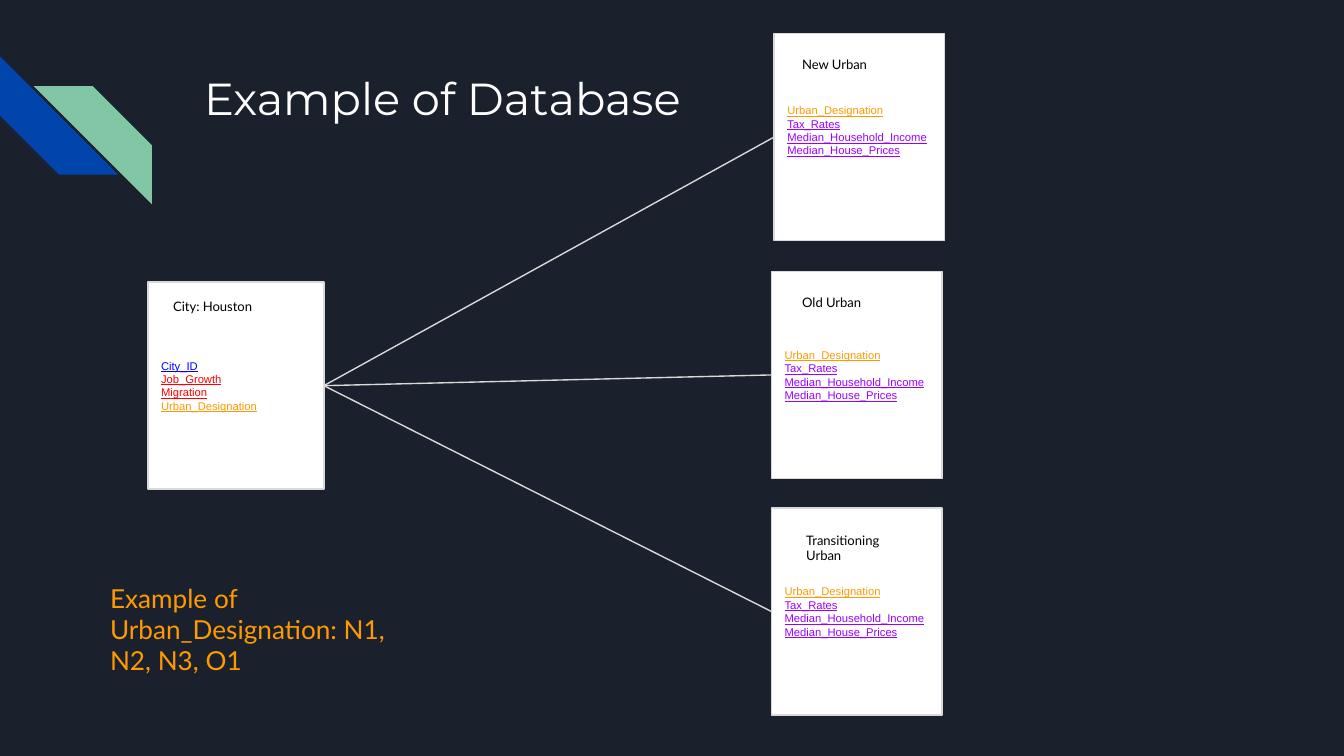
from dataclasses import dataclass

from lxml import etree
from pptx import Presentation
from pptx.dml.color import RGBColor
from pptx.enum import shapes, text
from pptx.oxml.ns import qn
from pptx.util import Inches, Pt

WIDE = 10
WHITE, GREY, BLACK = "FFFFFF", "D9D9D9", "000000"
ORANGE, PURPLE, RED, BLUE = "FF9900", "9900FF", "FF0000", "0000FF"
HIGH = 1.54  # height of every card
AREA = [("Urban_Designation", ORANGE), ("Tax_Rates", PURPLE),
        ("Median_Household_Income", PURPLE), ("Median_House_Prices", PURPLE)]
CITY = [("City_ID", BLUE), ("Job_Growth", RED), ("Migration", RED),
        ("Urban_Designation", ORANGE)]


@dataclass
class Label:
    words: str
    left: float
    top: float
    width: float
    height: float
    size: int = 7
    font: str = "Lato"
    hue: str = BLACK
    grow: bool = True


@dataclass
class Card:
    left: float
    top: float
    width: float
    fields: list
    label: Label
    foot: float = 0.1  # bottom inset


@dataclass
class Stripe:
    left: float
    top: float
    turn: int
    hue: str


STRIPES = [Stripe(0, 0.42, 270, "0145AC"), Stripe(0.25, 0.64, 90, "82C7A5")]
TITLE = Label("Example of Database", 1.42, 0.43, 7.7, 1, 24, "Montserrat", WHITE, False)
NOTE = Label("Example of Urban_Designation: N1, N2, N3, O1",
             0.72, 4.23, 2.52, 0.91, 14, hue=ORANGE)
HUB = Card(1.1, 2.1, 1.31, CITY, Label("City: Houston", 1.19, 2.16, 1.06, 0.32))
ZONES = [
    Card(5.76, 0.25, 1.27, AREA, Label("New Urban", 5.87, 0.36, 0.95, 0.32), 0.2),
    Card(5.74, 2.02, 1.27, AREA, Label("Old Urban", 5.87, 2.13, 0.95, 0.32)),
    Card(5.74, 3.78, 1.27, AREA, Label("Transitioning Urban", 5.9, 3.86, 0.95, 0.44)),
]


def tint(code: str) -> RGBColor:
    return RGBColor.from_string(code)


def paint(shape, hue: str) -> None:
    shape.shadow.inherit = False
    shape.fill.solid()
    shape.fill.fore_color.rgb = tint(hue)


def style(para, size: int, font: str, hue: str, under: bool = False) -> None:
    para.alignment = text.PP_ALIGN.LEFT
    for run in para.runs:
        run.font.size = Pt(size)
        run.font.name = font
        run.font.color.rgb = tint(hue)
        if under:
            run.font.underline = True


def pad(frame, foot: float = 0.1) -> None:
    frame.word_wrap = True
    frame.margin_left = frame.margin_right = frame.margin_top = Inches(0.1)
    frame.margin_bottom = Inches(foot)


def add_stripe(slide, item: Stripe) -> None:
    shape = slide.shapes.add_shape(
        shapes.MSO_SHAPE.DIAGONAL_STRIPE, Inches(item.left), Inches(item.top),
        Inches(0.88), Inches(0.88))
    shape.rotation = item.turn
    paint(shape, item.hue)
    shape.line.fill.background()


def add_label(slide, item: Label) -> None:
    box = slide.shapes.add_textbox(Inches(item.left), Inches(item.top),
                                   Inches(item.width), Inches(item.height))
    frame = box.text_frame
    pad(frame)
    if item.grow:
        frame.auto_size = text.MSO_AUTO_SIZE.SHAPE_TO_FIT_TEXT
    frame.text = item.words
    style(frame.paragraphs[0], item.size, item.font, item.hue)


def add_card(slide, card: Card):
    box = slide.shapes.add_shape(
        shapes.MSO_SHAPE.RECTANGLE, Inches(card.left), Inches(card.top),
        Inches(card.width), Inches(HIGH))
    paint(box, WHITE)
    box.line.color.rgb = tint(GREY)
    box.line.width = Pt(0.75)
    frame = box.text_frame
    pad(frame, card.foot)
    frame.vertical_anchor = text.MSO_ANCHOR.MIDDLE
    frame.text = "\n".join(name for name, _ in card.fields)
    for para, (_, hue) in zip(frame.paragraphs, card.fields):
        style(para, 6, "Arial", hue, under=True)
    return box


def add_link(slide, start, end) -> None:
    line = slide.shapes.add_connector(shapes.MSO_CONNECTOR.STRAIGHT, 0, 0, 0, 0)
    line.begin_connect(start, 3)
    line.end_connect(end, 1)
    line.line.color.rgb = tint(GREY)
    line.line.width = Pt(0.75)
    etree.SubElement(line._element.spPr, qn("a:effectLst"))


def main() -> None:
    # Widescreen 16:9 slide
    deck = Presentation()
    deck.slide_width, deck.slide_height = Inches(WIDE), Inches(WIDE * 9 / 16)
    slide = deck.slides.add_slide(deck.slide_layouts[6])
    slide.background.fill.solid()
    slide.background.fill.fore_color.rgb = tint("1B212C")

    # Corner stripes and title
    for item in STRIPES:
        add_stripe(slide, item)
    add_label(slide, TITLE)

    # Cards, with the city linked to each zone
    hub = add_card(slide, HUB)
    boxes = [add_card(slide, zone) for zone in ZONES]
    for box in boxes:
        add_link(slide, hub, box)

    # Card headings and note
    for item in [HUB.label, NOTE, *(zone.label for zone in ZONES)]:
        add_label(slide, item)

    deck.save("out.pptx")


if __name__ == "__main__":
    main()
